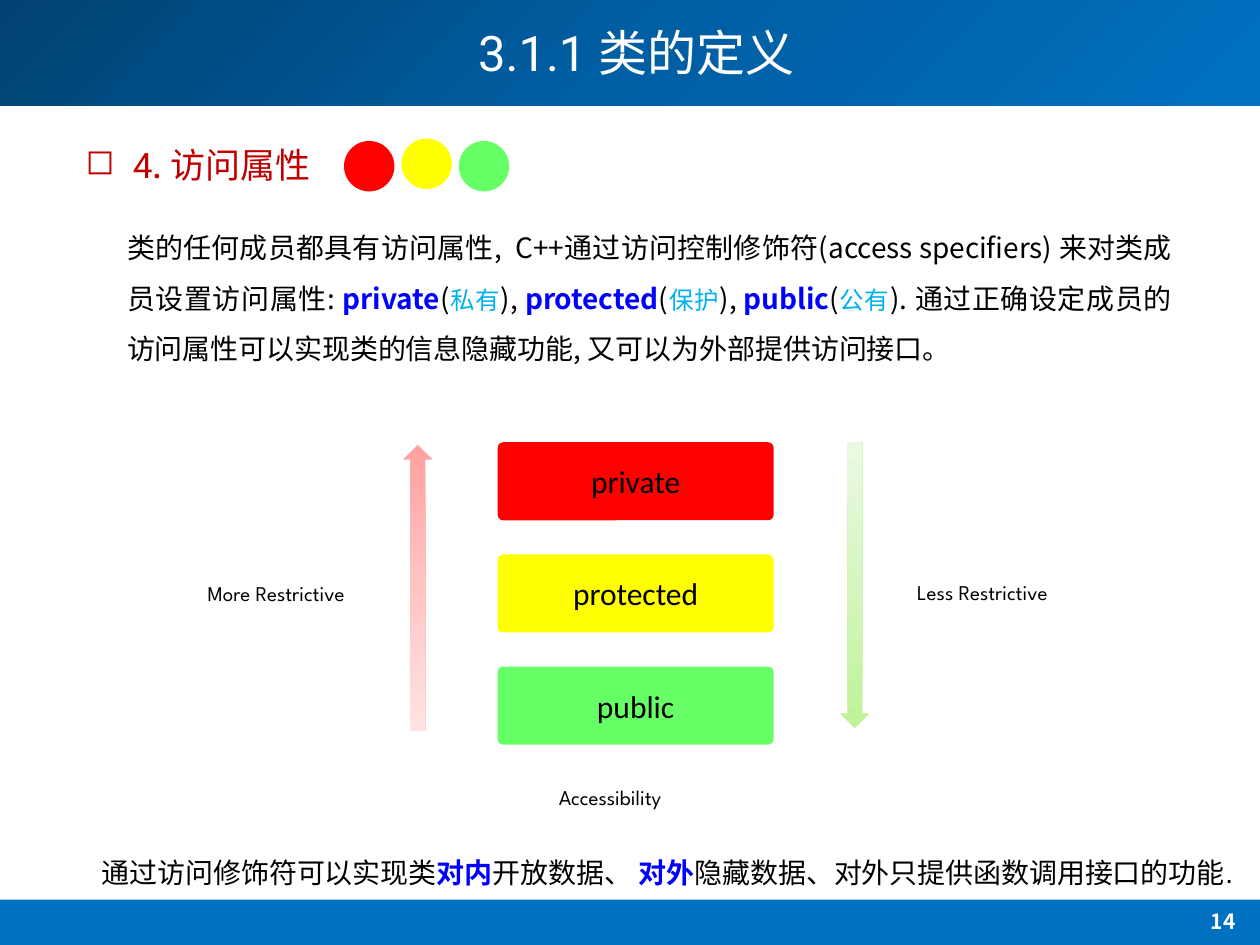
from copy import deepcopy
from lxml.etree import SubElement
from pptx import Presentation
from pptx.dml.color import RGBColor as Rgb
from pptx.enum.shapes import MSO_SHAPE as Form
from pptx.enum.text import MSO_ANCHOR as Anchor, PP_ALIGN as Align
from pptx.oxml.ns import qn
from pptx.util import Pt

CJK = "Noto Sans CJK SC"
THEME = {
    "bar": "0070C0",
    "head": ("004272", "005EA2", "0070C0"),
    "warm": ("FFA0A0", "FFC5C5", "FFE3E3"),
    "cool": ("BEF297", "D5F6C0", "EAFAE0"),
    # text styles: font, size, colour, bold
    "title": ("Roboto", 28, "FFFFFF", False),
    "title cjk": (CJK, 28, "FFFFFF", False),
    "topic": ("Roboto", 20, "C00000", False),
    "topic cjk": (CJK, 20, "C00000", False),
    "body": (CJK, 16, "000000", False),
    "key": (CJK, 16, "0000FF", True),
    "gloss": (CJK, 14, "00B0F0", False),
    "sum": ("Arial", 16, "000000", False),
    "sum key": ("Arial", 16, "0000FF", True),
    "level": ("Calibri", 18, "000000", False),
    "label": ("League Spartan", 12, "000000", False),
    "page": (CJK, 12, "FFFFFF", True),
}

TITLE = [("3.1.1 ", "title"), ("类的定义", "title cjk")]
TOPIC = [("4", "topic"), (". 访问属性", "topic cjk")]
BODY = [
    ("类的任何成员都具有访问属性,  C++通过访问控制修饰符(access specifiers) 来对类成员设置访问属性: ", "body"),
    ("private", "key"), ("(", "body"), ("私有", "gloss"), ("), ", "body"),
    ("protected", "key"), ("(", "body"), ("保护", "gloss"), ("), ", "body"),
    ("public", "key"), ("(", "body"), ("公有", "gloss"),
    ("). 通过正确设定成员的访问属性可以实现类的信息隐藏功能, 又可以为外部提供访问接口。", "body"),
]
SUMMARY = [
    ("通过访问修饰符可以实现类", "sum"), ("对内", "sum key"),
    ("开放数据、 ", "sum"), ("对外", "sum key"),
    ("隐藏数据、对外只提供函数调用接口的功能.", "sum"),
]
# name, colour, top of its dot
LEVELS = [("private", "FF0000", 80.6), ("protected", "FFFF00", 79.2),
          ("public", "66FF66", 80.6)]
LABELS = [("More Restrictive", 111.6, 328.3), ("Accessibility", 312.2, 445),
          ("Less Restrictive", 517, 327.6)]
# left, top, turn, colours
ARROWS = [(480.2, 252.7, 0, "cool"), (230.4, 254.2, 180, "warm")]

deck = Presentation()
deck.slide_width, deck.slide_height = Pt(720), Pt(540)
slide = deck.slides.add_slide(deck.slide_layouts[6])


def write(frame, runs, align=Align.LEFT, space=None):
    para = frame.paragraphs[0]
    para.alignment = align
    if space:
        para.line_spacing = space
    for text, style in runs:
        face, size, color, bold = THEME[style]
        run = para.add_run()
        run.text = text
        font = run.font
        font.name, font.size, font.bold = face, Pt(size), bold
        font.color.rgb = Rgb.from_string(color)
        SubElement(font._element, qn("a:ea"), typeface=CJK)
    return para


def box(at, runs, align=Align.LEFT, space=None, wrap=True, anchor=Anchor.TOP):
    frame = slide.shapes.add_textbox(*map(Pt, at)).text_frame
    frame.word_wrap, frame.vertical_anchor = wrap, anchor
    return write(frame, runs, align, space)


def draw(form, at, color=None):
    shape = slide.shapes.add_shape(form, *map(Pt, at))
    shape.shadow.inherit = False
    shape.line.fill.background()
    if color:
        shape.fill.solid()
        shape.fill.fore_color.rgb = Rgb.from_string(color)
    return shape


def blend(shape, colors, angle):
    """Fill with three even stops; the angle runs counter-clockwise."""
    fill = shape.fill
    fill.gradient()
    fill.gradient_angle = angle
    first = fill.gradient_stops[0]._gs
    first.addnext(deepcopy(first))
    for i, (stop, color) in enumerate(zip(fill.gradient_stops, colors)):
        stop.position = i / 2
        stop.color.rgb = Rgb.from_string(color)


blend(draw(Form.RECTANGLE, (0, 0, 720, 60.5)), THEME["head"], 315)
draw(Form.RECTANGLE, (0, 514, 720, 26), THEME["bar"])
box((678, 515.5, 42, 24), [("14", "page")], Align.CENTER)
box((61.2, 0, 604.8, 64), TITLE, Align.CENTER, 0.9, anchor=Anchor.MIDDLE)

topic = box((41.8, 78.5, 563, 31.7), TOPIC)
props = topic._p.get_or_add_pPr()
props.set("marL", str(Pt(27)))
props.set("indent", str(-Pt(27)))
SubElement(props, qn("a:buChar"), char="◻")

box((65.5, 118.8, 611.3, 94.3), BODY, Align.JUSTIFY, 1.5)

for i, (name, color, top) in enumerate(LEVELS):
    card = draw(Form.ROUNDED_RECTANGLE, (284.4, 252.7 + 64.1 * i, 157.7, 44.6), color)
    card.adjustments[0] = 0.07
    card.text_frame.vertical_anchor = Anchor.MIDDLE
    write(card.text_frame, [(name, "level")], Align.CENTER)
    draw(Form.OVAL, (196.6 + 32.8 * i, top, 28.8, 28.8), color)

for left, top, turn, tone in ARROWS:
    arrow = draw(Form.DOWN_ARROW, (left, top, 16.6, 163.4))
    arrow.rotation = turn
    blend(arrow, THEME[tone], 90)

for text, left, top in LABELS:
    box((left, top, 148, 21.6), [(text, "label")])

box((51.1, 485.3, 668.9, 26.6), SUMMARY, wrap=False)

deck.save("out.pptx")
